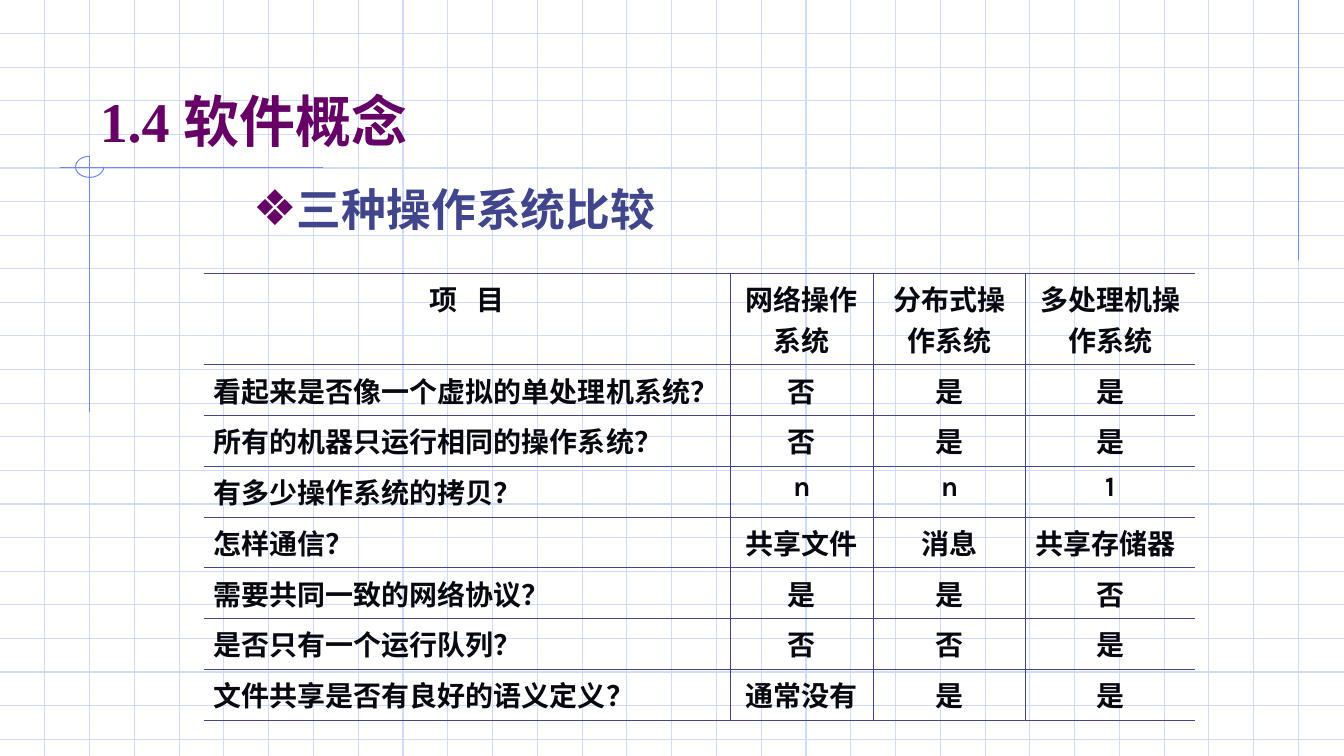
"""Build the slide comparing three kinds of operating system."""
from lxml.etree import SubElement
from pptx import Presentation
from pptx.dml.color import RGBColor
from pptx.enum.shapes import MSO_CONNECTOR, MSO_SHAPE
from pptx.enum.text import MSO_ANCHOR, MSO_AUTO_SIZE, PP_ALIGN
from pptx.oxml.ns import qn
from pptx.util import Inches, Pt

TITLE = "1.4 软件概念"
SUBTITLE = "三种操作系统比较"
ROWS = [
    ("项   目", "网络操作系统", "分布式操作系统", "多处理机操作系统"),
    ("看起来是否像一个虚拟的单处理机系统？", "否", "是", "是"),
    ("所有的机器只运行相同的操作系统？", "否", "是", "是"),
    ("有多少操作系统的拷贝？", "n", "n", "1"),
    ("怎样通信？", "共享文件", "消息", "共享存储器"),
    ("需要共同一致的网络协议？", "是", "是", "否"),
    ("是否只有一个运行队列？", "否", "否", "是"),
    ("文件共享是否有良好的语义定义？", "通常没有", "是", "是"),
]
LEFT_ALIGNED = {"共享存储器"}
COL_WIDTHS = [5.23, 1.42, 1.51, 1.68]
HEADER_H, ROW_H = 0.9, 0.5
WIDTH, HEIGHT = 13.34, 7.5
GRID_X, GRID_Y = 4 / 9, 1 / 3
ACCENTS = [(12.89, 0, 12.89, 2.58), (3.21, 1.66, 0.6, 1.66), (0.89, 1.55, 0.89, 4.09)]
COLORS = {"grid": "CFDBFD", "accent": "6F89F7", "title": "660066",
          "subtitle": "40458C", "border": "40458C", "text": "080910"}


def rgb(name):
    return RGBColor.from_string(COLORS[name])


def add_line(slide, ends, color):
    line = slide.shapes.add_connector(MSO_CONNECTOR.STRAIGHT, *map(Inches, ends))
    line.line.color.rgb = rgb(color)
    line.line.width = Pt(0.75)
    SubElement(line._element.spPr, qn("a:effectLst"))


def add_backdrop(slide):
    for i in range(1, int(HEIGHT / GRID_Y) + 1):
        add_line(slide, (0, i * GRID_Y, WIDTH, i * GRID_Y), "grid")
    for i in range(1, int(WIDTH / GRID_X)):
        add_line(slide, (i * GRID_X, 0, i * GRID_X, HEIGHT), "grid")
    for ends in ACCENTS:
        add_line(slide, ends, "accent")
    arc = slide.shapes.add_shape(MSO_SHAPE.ARC, *map(Inches, (0.75, 1.55, 0.28, 0.21)))
    arc.adjustments[0] = 0
    arc.adjustments[1] = 162
    arc.shadow.inherit = False
    arc.fill.background()
    arc.line.color.rgb = rgb("accent")
    arc.line.width = Pt(0.75)


def style_text(p, font, size, color):
    for r in p.runs:
        r.font.name = font
        r.font.size = Pt(size)
        r.font.bold = True
        r.font.color.rgb = rgb(color)


def fill_placeholder(sp, box, text, font, size, color):
    sp.left, sp.top, sp.width, sp.height = map(Inches, box)
    tf = sp.text_frame
    tf.text = text
    tf.word_wrap = True
    tf.auto_size = MSO_AUTO_SIZE.NONE
    p = tf.paragraphs[0]
    p.alignment = PP_ALIGN.LEFT
    p.space_before = Pt(0)
    style_text(p, font, size, color)
    sp._element.getparent().append(sp._element)
    return tf


def add_bullet(p, char, color, percent, indent):
    pPr = p._p.get_or_add_pPr()
    pPr.set("marL", str(Inches(indent)))
    pPr.set("indent", str(-Inches(indent)))
    SubElement(SubElement(pPr, qn("a:buClr")), qn("a:srgbClr"), val=COLORS[color])
    SubElement(pPr, qn("a:buSzPct"), val=str(percent * 1000))
    SubElement(pPr, qn("a:buChar"), char=char)


def set_borders(cell, col):
    tcPr = cell._tc.get_or_add_tcPr()
    drawn = {"L": col > 0, "R": col < len(COL_WIDTHS) - 1, "T": True, "B": True}
    for side, shown in drawn.items():
        ln = SubElement(tcPr, qn(f"a:ln{side}"), w=str(Pt(0.45)))
        if shown:
            fill = SubElement(ln, qn("a:solidFill"))
            SubElement(fill, qn("a:srgbClr"), val=COLORS["border"])
        else:
            SubElement(ln, qn("a:noFill"))


def add_comparison(slide):
    heights = [HEADER_H] + [ROW_H] * (len(ROWS) - 1)
    box = (2.02, 2.71, sum(COL_WIDTHS), sum(heights))
    table = slide.shapes.add_table(len(ROWS), len(COL_WIDTHS), *map(Inches, box)).table
    table.first_row = table.horz_banding = False
    for column, width in zip(table.columns, COL_WIDTHS):
        column.width = Inches(width)
    for i, (values, height) in enumerate(zip(ROWS, heights)):
        table.rows[i].height = Inches(height)
        for j, value in enumerate(values):
            cell = table.cell(i, j)
            cell.text = value
            p = cell.text_frame.paragraphs[0]
            left = (i > 0 and j == 0) or value in LEFT_ALIGNED
            p.alignment = PP_ALIGN.LEFT if left else PP_ALIGN.CENTER
            style_text(p, "Karla", 20, "text")
            set_borders(cell, j)
            cell.fill.background()


def main():
    prs = Presentation()
    prs.slide_width, prs.slide_height = Inches(WIDTH), Inches(HEIGHT)
    slide = prs.slides.add_slide(prs.slide_layouts[1])
    add_backdrop(slide)
    tf = fill_placeholder(slide.shapes.title, (0.89, 0.33, 11.33, 1.25),
                          TITLE, "Times New Roman", 40, "title")
    tf.vertical_anchor = MSO_ANCHOR.BOTTOM
    tf = fill_placeholder(slide.placeholders[1], (2.41, 1.75, 8.58, 0.8),
                          SUBTITLE, "Karla", 32, "subtitle")
    add_bullet(tf.paragraphs[0], "❖", "title", 110, 0.38)
    add_comparison(slide)
    prs.save("out.pptx")


if __name__ == "__main__":
    main()
